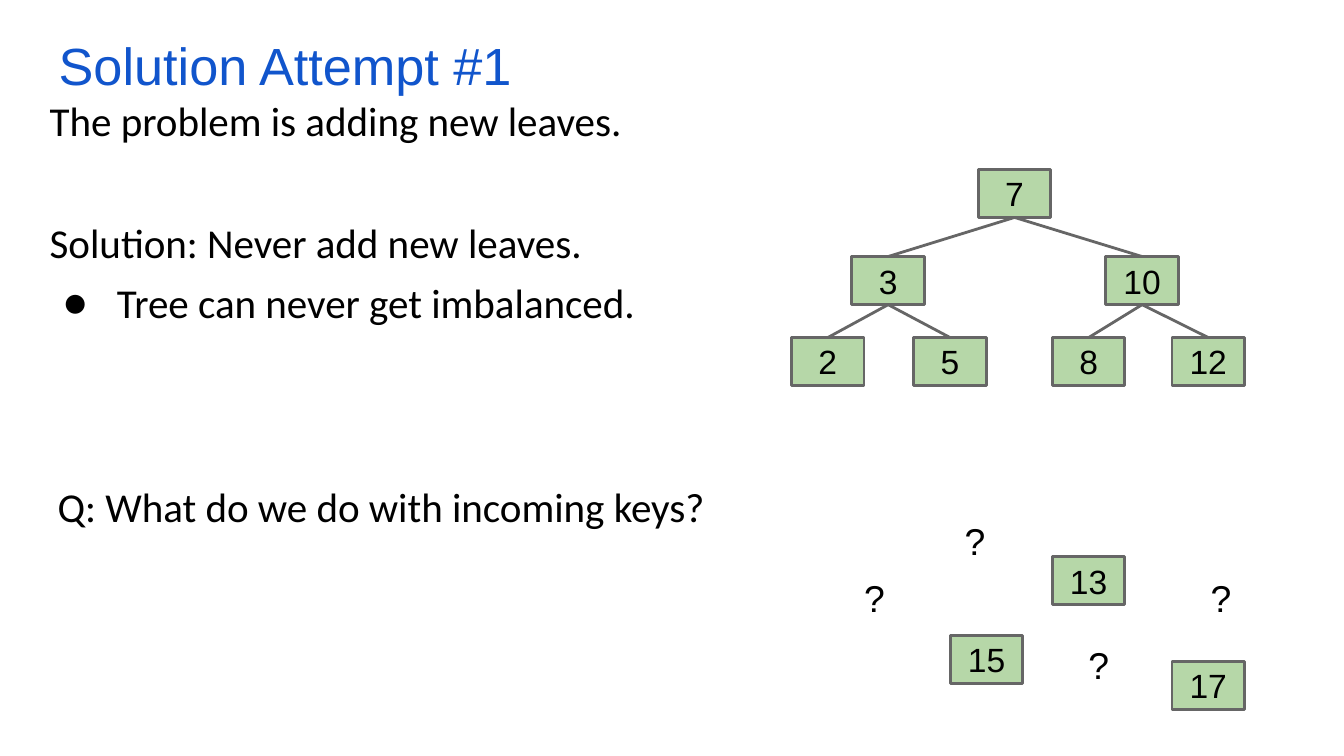
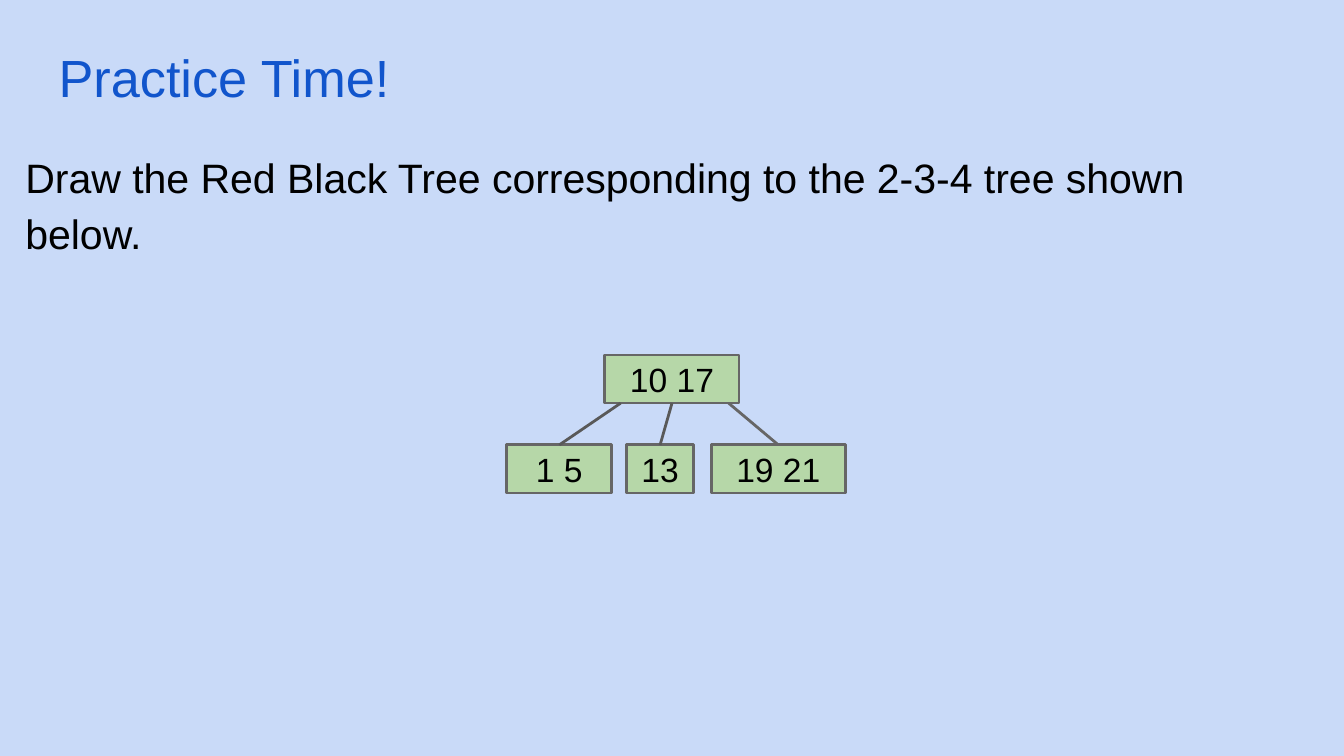
from lxml.etree import SubElement
from pptx import Presentation
from pptx.dml.color import RGBColor
from pptx.enum.shapes import MSO_CONNECTOR, MSO_SHAPE
from pptx.enum.text import MSO_ANCHOR, PP_ALIGN
from pptx.oxml.ns import qn
from pptx.util import Cm, Pt

COLORS = {
    "title": "1155CC",
    "text": "000000",
    "node": "B6D7A8",
    "edge": "666666",
    "dark_edge": "595959",
    "plain": "FFFFFF",
    "practice": "C9DAF8",
}
INSET = 0.25
NODE_WIDTH, NODE_HEIGHT = 1.37, 0.91
MARK_WIDTH = 1.02
BOTTOM, TOP = 2, 0

ATTEMPT_TITLE = "Solution Attempt #1"
ATTEMPT_LINES = [
    {"text": "The problem is adding new leaves."},
    {"text": "Solution: Never add new leaves.", "before": 39},
    {"text": "Tree can never get imbalanced.", "before": 6, "bullet": "●"},
]
QUESTION = "Q: What do we do with incoming keys?"
TREE_LEVELS = [
    (3.2, [("7", 18.49)]),
    (4.85, [("3", 16.1), ("10", 20.9)]),
    (6.38, [("2", 14.96), ("5", 17.27), ("8", 19.89), ("12", 22.15)]),
]
INCOMING_KEYS = [("15", 17.96, 12.01), ("13", 19.89, 10.52), ("17", 22.15, 12.5)]
QUESTION_MARKS = [(16.08, 10.62), (17.98, 9.55), (20.32, 11.89), (22.63, 10.62)]

PRACTICE_TITLE = "Practice Time!"
PRACTICE_TASK = "Draw the Red Black Tree corresponding to the 2-3-4 tree shown below."
ROOT = ("10 17", 11.43, 6.71, 2.54)
CHILD_TOP = 8.41
CHILDREN = [
    ("1 5", 9.58, 1.98, 11.73, "dark_edge"),
    ("13", 11.84, 1.27, None, "dark_edge"),
    ("19 21", 13.44, 2.54, 13.77, "edge"),
]


def color(name):
    return RGBColor.from_string(COLORS[name])


def write_text(frame, lines, size=22, font="Arial", fill="text", align=PP_ALIGN.LEFT,
               anchor=MSO_ANCHOR.TOP, spacing=None):
    frame.word_wrap = True
    frame.vertical_anchor = anchor
    frame.margin_left = frame.margin_right = Cm(INSET)
    frame.margin_top = frame.margin_bottom = Cm(INSET)
    for index, line in enumerate(lines):
        paragraph = frame.add_paragraph() if index else frame.paragraphs[0]
        paragraph.alignment = align
        if spacing:
            paragraph.line_spacing = spacing
        if "before" in line:
            paragraph.space_before = Pt(line["before"])
        if "bullet" in line:
            properties = paragraph._p.get_or_add_pPr()
            properties.set("marL", str(Cm(1.27)))
            properties.set("indent", str(-Cm(1.02)))
            SubElement(properties, qn("a:buFont"), typeface=font)
            SubElement(properties, qn("a:buChar"), char=line["bullet"])
        run = paragraph.add_run()
        run.text = line["text"]
        run.font.size = Pt(size)
        run.font.name = font
        run.font.color.rgb = color(fill)


def add_text(slide, text, left, top, width, height, **style):
    box = slide.shapes.add_textbox(Cm(left), Cm(top), Cm(width), Cm(height))
    lines = [{"text": text}] if isinstance(text, str) else text
    write_text(box.text_frame, lines, **style)


def add_node(slide, text, left, top, width=NODE_WIDTH):
    shape = slide.shapes.add_shape(
        MSO_SHAPE.RECTANGLE, Cm(left), Cm(top), Cm(width), Cm(NODE_HEIGHT))
    shape.shadow.inherit = False
    shape.fill.solid()
    shape.fill.fore_color.rgb = color("node")
    shape.line.color.rgb = color("edge")
    shape.line.width = Pt(1.5)
    write_text(shape.text_frame, [{"text": text}], size=18,
               align=PP_ALIGN.CENTER, anchor=MSO_ANCHOR.MIDDLE)
    return shape


def add_edge(slide, parent, child, start=None, fill="edge"):
    bottom = parent.top + parent.height
    connector = slide.shapes.add_connector(
        MSO_CONNECTOR.STRAIGHT, Cm(start or 0), bottom, child.left, child.top)
    if start is None:
        connector.begin_connect(parent, BOTTOM)
    connector.end_connect(child, TOP)
    connector.line.color.rgb = color(fill)
    connector.line.width = Pt(1.5)
    SubElement(connector._element.spPr, qn("a:effectLst"))


def add_slide(presentation, title, title_top, background):
    slide = presentation.slides.add_slide(presentation.slide_layouts[6])
    slide.background.fill.solid()
    slide.background.fill.fore_color.rgb = color(background)
    add_text(slide, title, 0.86, title_top, 23.67, 1.6, size=28, fill="title")
    return slide


def build_attempt(presentation):
    slide = add_slide(presentation, ATTEMPT_TITLE, 0.38, "plain")
    add_text(slide, ATTEMPT_LINES, 0.69, 1.55, 23.44, 5.74, font="Calibri")
    parents = []
    for top, keys in TREE_LEVELS:
        nodes = [add_node(slide, key, left, top) for key, left in keys]
        if parents:
            for index, node in enumerate(nodes):
                add_edge(slide, parents[index // 2], node)
        parents = nodes
    for key, left, top in INCOMING_KEYS:
        add_node(slide, key, left, top)
    for left, top in QUESTION_MARKS:
        add_text(slide, "?", left, top, MARK_WIDTH, NODE_HEIGHT, size=20)
    add_text(slide, QUESTION, 0.84, 8.89, 14, 1.37, font="Calibri",
             anchor=MSO_ANCHOR.MIDDLE)


def build_practice(presentation):
    slide = add_slide(presentation, PRACTICE_TITLE, 0.61, "practice")
    add_text(slide, PRACTICE_TASK, 0.23, 2.49, 24.69, 3.15, spacing=1.15)
    root = add_node(slide, *ROOT)
    for text, left, width, start, fill in CHILDREN:
        child = add_node(slide, text, left, CHILD_TOP, width)
        add_edge(slide, root, child, start, fill)


def main():
    presentation = Presentation()
    presentation.slide_width = Cm(25.4)
    presentation.slide_height = Cm(14.29)
    build_attempt(presentation)
    build_practice(presentation)
    presentation.save("out.pptx")


if __name__ == "__main__":
    main()
